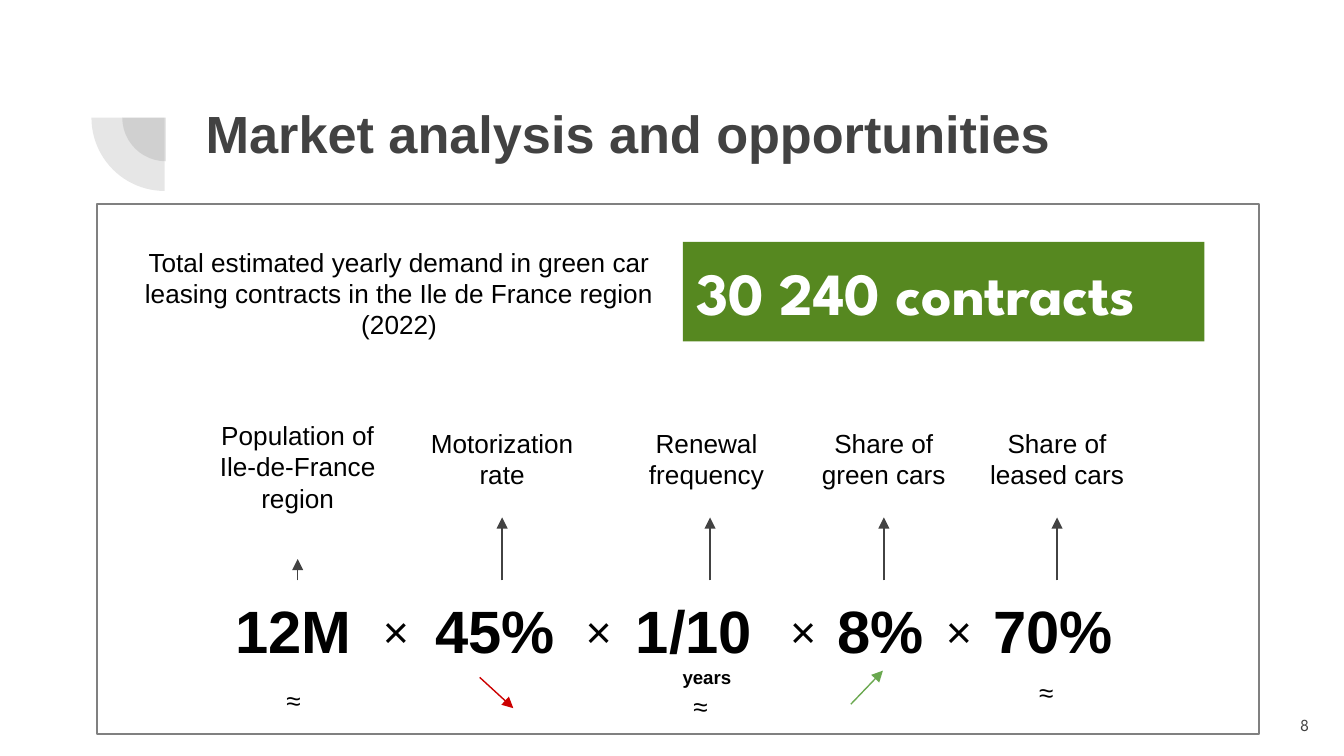
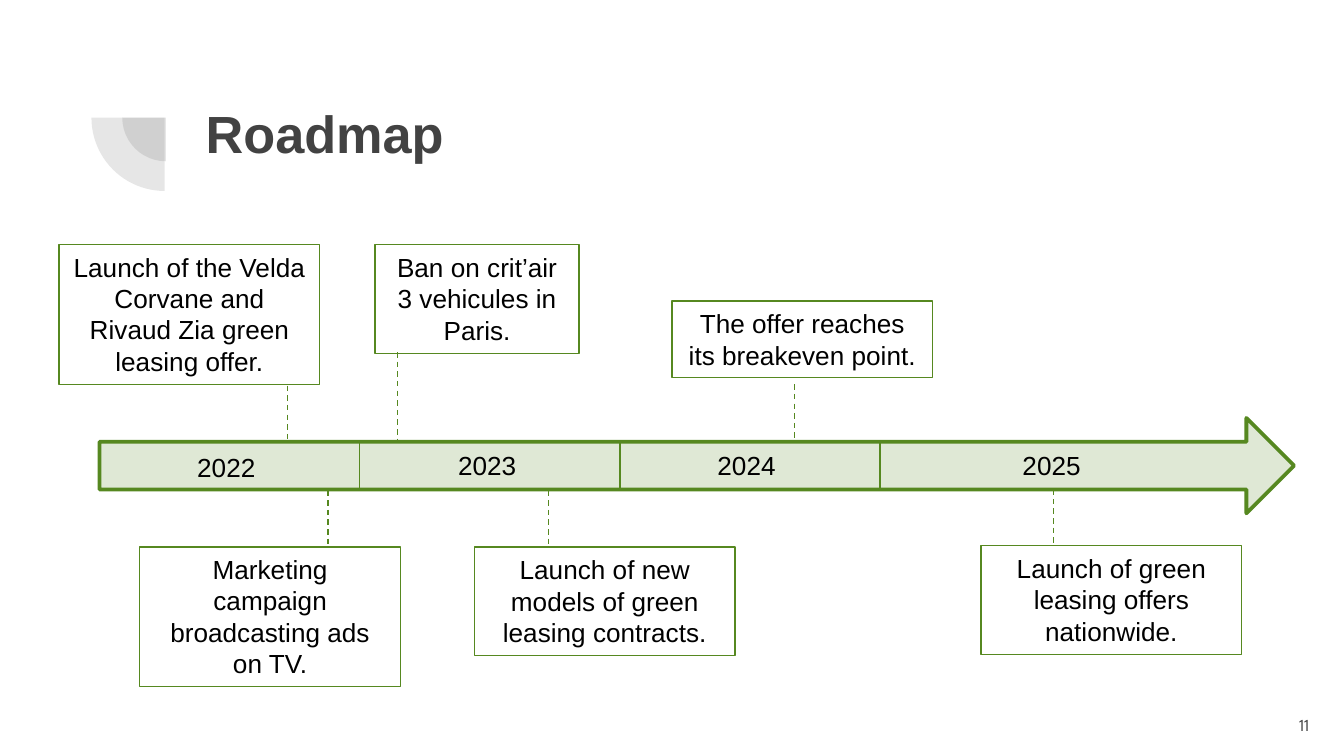
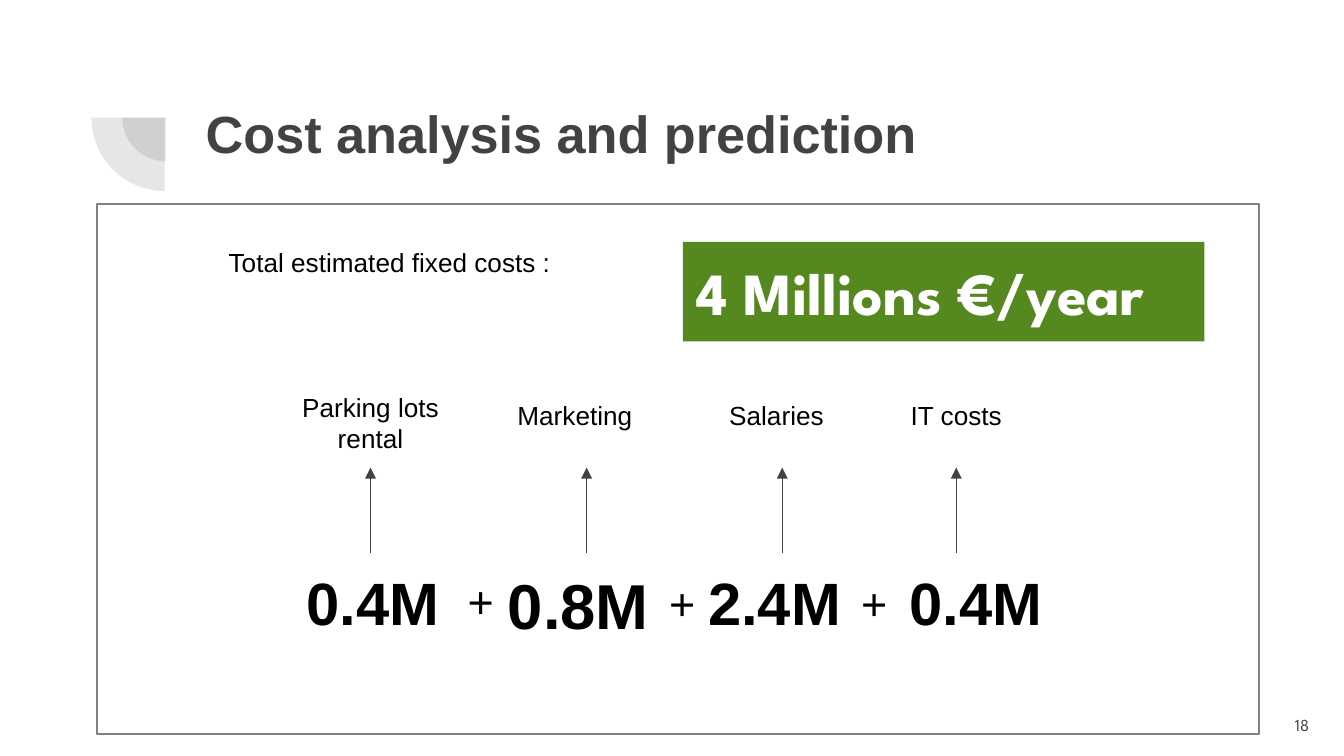
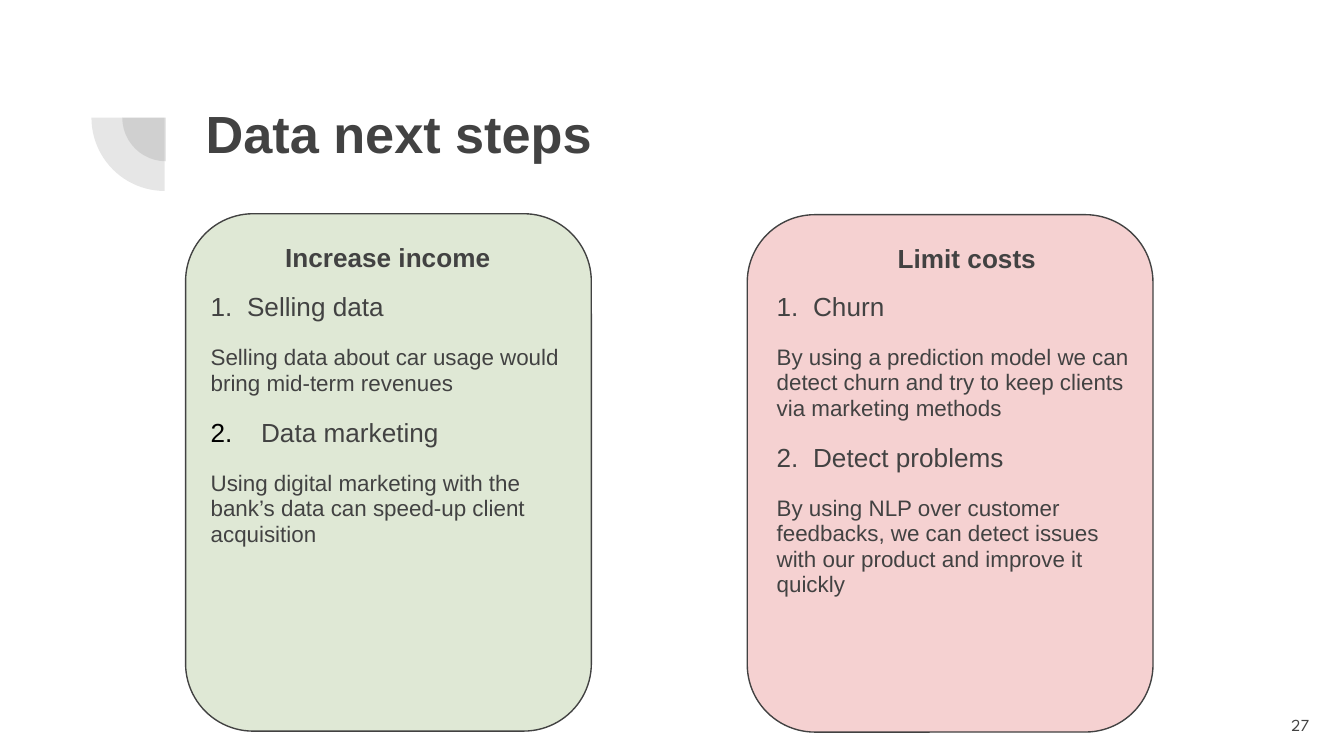
"""Builds four slides on the market, roadmap, costs and data plans of a green leasing offer."""
from lxml.etree import SubElement
from pptx import Presentation
from pptx.dml.color import RGBColor
from pptx.enum.dml import MSO_LINE_DASH_STYLE as Dash
from pptx.enum.shapes import MSO_CONNECTOR as Connector, MSO_SHAPE as Shape
from pptx.enum.text import MSO_ANCHOR as Anchor, MSO_AUTO_SIZE as AutoSize, PP_ALIGN as Align
from pptx.oxml.ns import qn
from pptx.util import Pt

GREEN = RGBColor(0x56, 0x88, 0x20)
LIGHT_GREEN = RGBColor(0x6A, 0xA8, 0x4F)
RED = RGBColor(0xCC, 0x00, 0x00)
PINK = RGBColor(0xF4, 0xCC, 0xCC)
DARK = RGBColor(0x42, 0x42, 0x42)
GREY = RGBColor(0x80, 0x80, 0x80)
BLACK = RGBColor(0x00, 0x00, 0x00)
WHITE = RGBColor(0xFF, 0xFF, 0xFF)
BODY_FONT = "Arial"
DISPLAY_FONT = "League Spartan"
INSET = 7.2
LABEL_WIDTH = 100
TERM_WIDTH = 93.6


class SlideBuilder:
    """Holds the shared style and the current slide."""

    def __init__(self):
        self.deck = Presentation()
        self.deck.slide_width, self.deck.slide_height = Pt(720), Pt(405)
        self.page = None

    def start(self, title, number):
        self.page = self.deck.slides.add_slide(self.deck.slide_layouts[5])
        box = self.page.shapes.title
        box.left, box.top, box.width, box.height = Pt(103), Pt(46.8), Pt(553.7), Pt(78.5)
        box.text_frame.text = title
        self.frame(box.text_frame, INSET)
        self.format(box.text_frame.paragraphs[0], 28, DARK, bold=True)
        for left, top, size in ((65.5, 39.6, 46.8), (49, 23.8, 78.5)):
            pie = self.shape(Shape.PIE, (left, top, size, size), fill=DARK, alpha=13)
            pie.adjustments[0], pie.adjustments[1] = 108, 162
            pie.rotation = 270
        self.text(str(number), (665.3, 373, 43.2, 31), 9, DARK, align=Align.RIGHT,
                  font=DISPLAY_FONT, anchor=Anchor.MIDDLE)

    def frame(self, frame, inset, anchor=Anchor.TOP):
        frame.word_wrap = True
        frame.auto_size = AutoSize.NONE
        frame.vertical_anchor = anchor
        frame.margin_left = frame.margin_right = Pt(INSET)
        frame.margin_top = frame.margin_bottom = Pt(inset)

    def format(self, para, size, color, bold=False, align=Align.LEFT, font=BODY_FONT):
        para.alignment = align
        for span in para.runs:
            span.font.size, span.font.bold, span.font.name = Pt(size), bold, font
            span.font.color.rgb = color

    def text(self, words, bounds, size=14, color=BLACK, bold=False, align=Align.CENTER,
             font=BODY_FONT, inset=INSET, anchor=Anchor.TOP):
        box = self.page.shapes.add_textbox(*map(Pt, bounds))
        box.text_frame.text = words
        self.frame(box.text_frame, inset, anchor)
        self.format(box.text_frame.paragraphs[0], size, color, bold, align, font)
        return box

    def shape(self, kind, bounds, fill=None, alpha=None, line=None, width=0.75):
        shape = self.page.shapes.add_shape(kind, *map(Pt, bounds))
        shape.shadow.inherit = False
        if fill is None:
            shape.fill.background()
        else:
            shape.fill.solid()
            shape.fill.fore_color.rgb = fill
        if alpha is not None:
            color = next(shape.fill._xPr.iter(qn("a:srgbClr")))
            SubElement(color, qn("a:alpha"), val=str(alpha * 1000))
        if line is None:
            shape.line.fill.background()
        else:
            shape.line.color.rgb, shape.line.width = line, Pt(width)
        return shape

    def line(self, start, end, color, dashed=False, arrow=False):
        line = self.page.shapes.add_connector(Connector.STRAIGHT, *map(Pt, (*start, *end)))
        line.line.color.rgb, line.line.width = color, Pt(0.75)
        if dashed:
            line.line.dash_style = Dash.DASH
        if arrow:
            SubElement(line.line._get_or_add_ln(), qn("a:tailEnd"), type="triangle")
        SubElement(line._element.spPr, qn("a:effectLst"))
        return line

    def panel(self, caption, caption_bounds, result):
        self.shape(Shape.RECTANGLE, (51.8, 109.4, 622.8, 283.7), line=GREY, width=1)
        self.text(caption, caption_bounds)
        banner = self.shape(Shape.RECTANGLE, (365.8, 129.6, 279.4, 53.3), fill=GREEN)
        banner.text_frame.text = result
        self.frame(banner.text_frame, INSET)
        self.format(banner.text_frame.paragraphs[0], 32, WHITE, True, font=DISPLAY_FONT)

    def term(self, value, left, top, label, label_bounds, arrow_end, on_value=False,
             width=TERM_WIDTH, size=32):
        """Adds a factor, its label and the arrow between them."""
        number = self.text(value, (left, top, width, 53.3), size, bold=True, align=Align.LEFT)
        label_left, label_top, label_height = label_bounds
        name = self.text(label, (label_left, label_top, LABEL_WIDTH, label_height))
        middle = left + width / 2 if on_value else label_left + LABEL_WIDTH / 2
        arrow = self.line((middle, top), (middle, arrow_end), DARK, arrow=True)
        if on_value:
            arrow.begin_connect(number, 0)
        elif label_top + label_height == arrow_end:
            arrow.end_connect(name, 2)
        return number

    def signs(self, sign, places):
        for left, top in places:
            self.text(sign, (left, top, 28, 44), 24, align=Align.LEFT)

    def milestone(self, words, bounds, stem):
        box = self.shape(Shape.RECTANGLE, bounds, line=GREEN)
        box.text_frame.text = words
        self.frame(box.text_frame, 3.6)
        self.format(box.text_frame.paragraphs[0], 14, BLACK, align=Align.CENTER)
        x, top, bottom = stem
        self.line((x, top), (x, bottom), GREEN, dashed=True)

    def card(self, card_bounds, fill, alpha, title, title_place, body_place, steps):
        self.shape(Shape.ROUNDED_RECTANGLE, card_bounds, fill, alpha, DARK)
        heading = self.text(title, (*title_place, 176.4, 41.8), color=DARK, bold=True)
        self.space(heading.text_frame.paragraphs[0])
        body = self.text("", (*body_place, 203.8, 231.1)).text_frame
        body.text = "\n".join(words for step in steps for words in step[:2])
        for number, (_, _, indent, bullet_color) in enumerate(steps, 1):
            name, detail = body.paragraphs[2 * number - 2:2 * number]
            for para, size in ((name, 14), (detail, 12)):
                self.format(para, size, DARK)
                self.space(para)
            self.number(name, number, indent, bullet_color)

    def space(self, para):
        para.line_spacing, para.space_after = 0.95, Pt(12)

    def number(self, para, start, indent, color):
        props = para._p.get_or_add_pPr()
        props.set("marL", str(Pt(indent)))
        props.set("indent", str(-Pt(indent)))
        SubElement(SubElement(props, qn("a:buClr")), qn("a:srgbClr"), val=str(color))
        SubElement(props, qn("a:buFont"), typeface=BODY_FONT)
        SubElement(props, qn("a:buAutoNum"), type="arabicPeriod", startAt=str(start))


def add_market(show):
    show.start("Market analysis and opportunities", 8)
    show.panel("Total estimated yearly demand in green car leasing contracts in the "
               "Ile de France region (2022)", (49.7, 124.6, 328.3, 65.5), "30 240 contracts")
    top, arrow_end, label = 311, 277.2, (221.8, 48.2)
    show.term("12M", 119, top, "Population of Ile-de-France region", (109.5, 217.5, 82), 299.5)
    show.term("45%", 226, top, "Motorization rate", (219, *label), arrow_end)
    renewal = show.term("1/10", 333.6, top, "Renewal frequency", (328.5, *label), arrow_end, True)
    show.term("8%", 441.5, top, "Share of green cars", (423.5, *label), arrow_end, True, width=64)
    show.term("70%", 525, top, "Share of leased cars", (516.3, *label), arrow_end)
    renewal.height = Pt(65.5)
    unit = renewal.text_frame.add_paragraph()
    unit.text = "years"
    show.format(unit, 10, BLACK, bold=True)
    unit._p.get_or_add_pPr().set("marL", str(Pt(25)))
    show.signs("×", [(left, 316) for left in (198, 306.7, 416.2, 499.7)])
    for left, sign_top in ((143.3, 359.3), (361.4, 362.9), (546.5, 355)):
        show.text("≈", (left, sign_top, 28, 36))
    show.line((257, 362.9), (275, 379.4), RED, arrow=True)
    show.line((455.8, 377.3), (473, 359.3), LIGHT_GREEN, arrow=True)


def add_roadmap(show):
    show.start("Roadmap", 11)
    show.shape(Shape.RIGHT_ARROW, (53.3, 223.9, 640, 51.1), GREEN, 19, GREEN, 2)
    for index in range(4):
        x = 53.3 + 139.4 * index
        show.line((x, 237.2), (x, 262.8), GREEN)
    for year, left, top in ((2022, 98.6, 238.3), (2023, 238.3, 237),
                            (2024, 377.3, 237), (2025, 540.7, 237)):
        show.text(str(year), (left, top, 48.2, 24.5), align=Align.LEFT, inset=3.6)
    milestones = (
        ("Marketing campaign broadcasting ads on TV.",
         (74.9, 293, 139.7, 74.9), (175.7, 262.8, 293)),
        ("Launch of the Velda Corvane and Rivaud Zia green leasing offer.",
         (31.7, 131, 139.7, 74.9), (154.1, 206.6, 236.9)),
        ("Ban on crit’air 3 vehicules in Paris.",
         (200.9, 131, 109.4, 58.3), (213.1, 188.6, 235.4)),
        ("The offer reaches its breakeven point.",
         (360, 161.3, 139.7, 41), (425.5, 205.9, 236.2)),
        ("Launch of new models of green leasing contracts.",
         (254.2, 293, 139.7, 58.3), (293.8, 262.8, 293)),
        ("Launch of green leasing offers nationwide.",
         (525.6, 292.3, 139.7, 58.3), (564.5, 262.1, 292.3)),
    )
    for milestone in milestones:
        show.milestone(*milestone)


def add_costs(show):
    show.start("Cost analysis and prediction", 18)
    show.panel("Total estimated fixed costs :", (44.6, 124.6, 328.3, 31.7), "4 Millions €/year")
    top, arrow_end, label = 296, 250.5, (206.6, 31.7)
    show.term("0.4M", 157, top, "Parking lots rental", (148.5, 202.5, 48), arrow_end)
    show.term("0.8M", 265, top, "Marketing", (258, *label), arrow_end, True, 98.6, 34)
    show.term("2.4M", 372.3, top, "Salaries", (366, *label), arrow_end, True)
    show.term("0.4M", 480.3, top, "IT costs", (462.3, *label), arrow_end)
    show.signs("+", ((243.4, 300.2), (351.4, 301), (454.3, 301)))


def add_next_steps(show):
    show.start("Data next steps", 27)
    show.card((99.4, 114.5, 217.4, 277.2), GREEN, 19, "Increase income",
              (119.5, 123.1), (105.8, 149.8), (
        ("Selling data", "Selling data about car usage would bring mid-term revenues",
         19.5, DARK),
        ("Data marketing", "Using digital marketing with the bank’s data can speed-up "
         "client acquisition", 27, BLACK)))
    show.card((400.3, 115, 217.4, 277.2), PINK, 90, "Limit costs",
              (429.8, 123.8), (409, 149.5), (
        ("Churn", "By using a prediction model we can detect churn and try to keep "
         "clients via marketing methods", 19.5, DARK),
        ("Detect problems", "By using NLP over customer feedbacks, we can detect issues "
         "with our product and improve it quickly", 19.5, DARK)))


def main():
    show = SlideBuilder()
    for add_page in (add_market, add_roadmap, add_costs, add_next_steps):
        add_page(show)
    show.deck.save("out.pptx")


if __name__ == "__main__":
    main()
